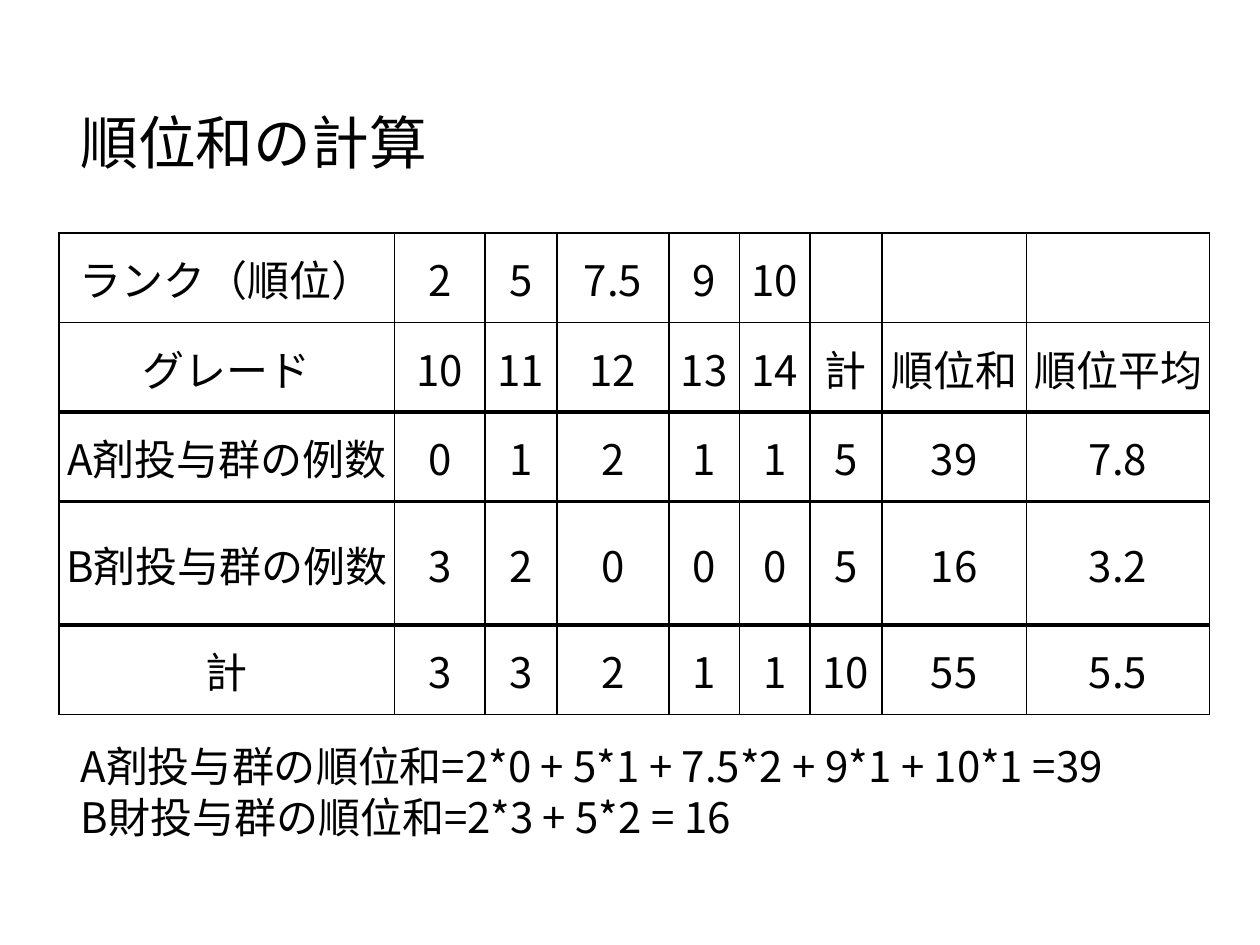
from lxml import etree
from pptx import Presentation
from pptx.dml.color import RGBColor
from pptx.enum.text import MSO_ANCHOR, PP_ALIGN
from pptx.oxml import parse_xml
from pptx.oxml.ns import nsdecls, qn
from pptx.util import Inches, Pt

FONT = "Noto Sans CJK JP"
BLACK = "000000"


def set_font(p, size):
    """Set Latin and East Asian typeface, size and colour of a paragraph."""
    p.font.size = Pt(size)
    p.font.name = FONT
    p.font.color.rgb = RGBColor.from_string(BLACK)
    etree.SubElement(p._p.pPr.find(qn("a:defRPr")), qn("a:ea"), typeface=FONT)


def set_borders(cell, top, bottom):
    """Draw the four cell borders; the sides are always 1 pt."""
    tcPr = cell._tc.get_or_add_tcPr()
    widths = {"lnL": 1, "lnR": 1, "lnT": top, "lnB": bottom}
    for i, (tag, width) in enumerate(widths.items()):
        tcPr.insert(i, parse_xml(
            f'<a:{tag} {nsdecls("a")} w="{Pt(width)}"><a:solidFill>'
            f'<a:srgbClr val="{BLACK}"/></a:solidFill></a:{tag}>'))


prs = Presentation()
prs.slide_width, prs.slide_height = Inches(10), Inches(7.5)
s = prs.slides.add_slide(prs.slide_layouts[6])

# Title
title = s.shapes.add_textbox(Inches(0.54), Inches(0.53), Inches(9), Inches(1.25))
tf = title.text_frame
tf.word_wrap = True
tf.vertical_anchor = MSO_ANCHOR.MIDDLE
p = tf.paragraphs[0]
p.text = "順位和の計算"
p.line_spacing = 0.9
set_font(p, 33)

# Rank table
rows = [
    ["ランク（順位）", "2", "5", "7.5", "9", "10", "", "", ""],
    ["グレード", "10", "11", "12", "13", "14", "計", "順位和", "順位平均"],
    ["A剤投与群の例数", "0", "1", "2", "1", "1", "5", "39", "7.8"],
    ["B剤投与群の例数", "3", "2", "0", "0", "0", "5", "16", "3.2"],
    ["計", "3", "3", "2", "1", "1", "10", "55", "5.5"],
]
col_widths = [2.66, 0.72, 0.57, 0.89, 0.56, 0.56, 0.57, 1.15, 1.45]
row_heights = [0.71, 0.71, 0.71, 0.98, 0.71]  # the B group label takes two lines
rules = [1, 1, 2.25, 2.25, 2.25, 1]  # horizontal lines, top to bottom

table = s.shapes.add_table(len(rows), len(col_widths), Inches(0.47), Inches(1.85),
                           Inches(sum(col_widths)), Inches(sum(row_heights))).table
table.first_row = table.horz_banding = False
for column, width in zip(table.columns, col_widths):
    column.width = Inches(width)

for r, values in enumerate(rows):
    table.rows[r].height = Inches(row_heights[r])
    for c, value in enumerate(values):
        cell = table.cell(r, c)
        cell.fill.background()
        cell.vertical_anchor = MSO_ANCHOR.MIDDLE
        cell.margin_left = cell.margin_right = cell.margin_top = Inches(0.01)
        cell.margin_bottom = 0
        p = cell.text_frame.paragraphs[0]
        p.text = value
        p.alignment = PP_ALIGN.CENTER
        set_font(p, 24)
        set_borders(cell, rules[r], rules[r + 1])

# Rank sums worked out
sums = [
    "A剤投与群の順位和=2*0 + 5*1 + 7.5*2 + 9*1 + 10*1 =39",
    "B財投与群の順位和=2*3 + 5*2 = 16",
]
tf = s.shapes.add_textbox(Inches(0.54), Inches(5.83), Inches(8.51), Inches(0.91)).text_frame
tf.word_wrap = False
for i, line in enumerate(sums):
    p = tf.add_paragraph() if i else tf.paragraphs[0]
    p.text = line
    set_font(p, 24)

prs.save("out.pptx")
